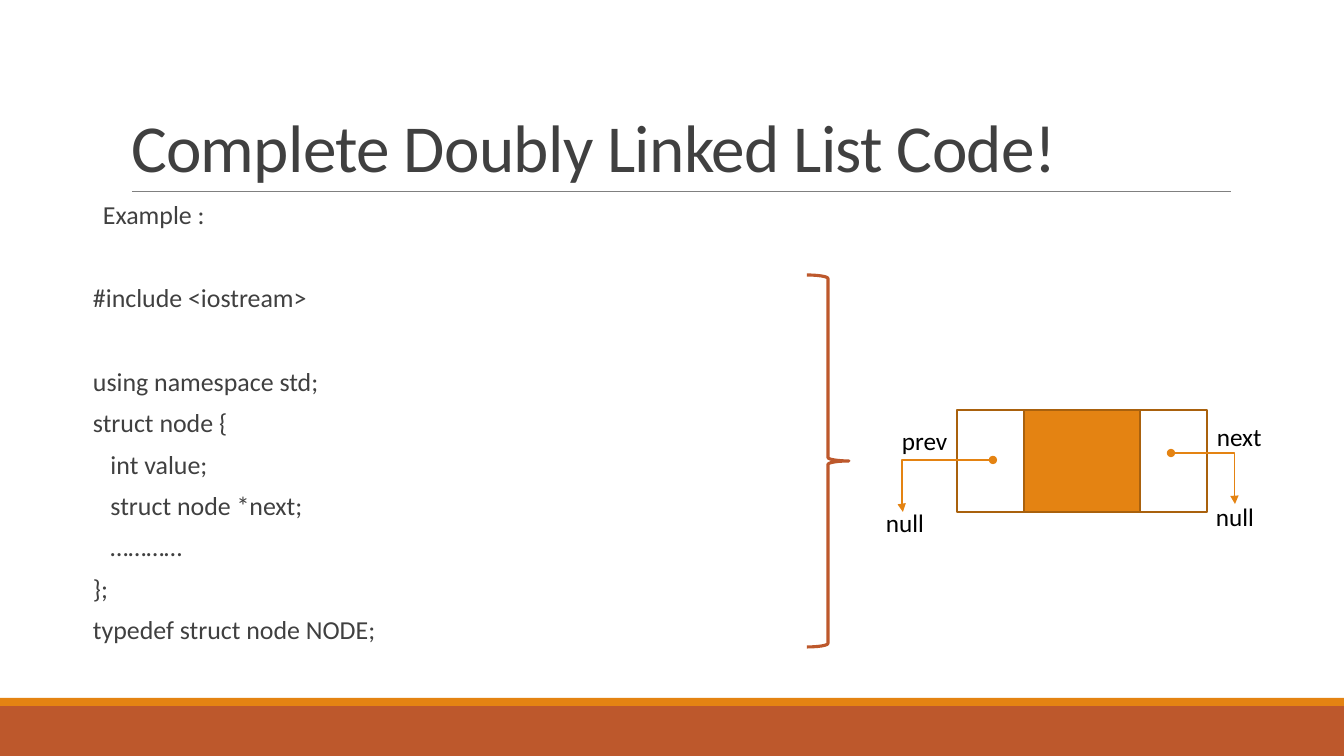
import pptx
import pptx.util
import pptx.dml.color
import pptx.enum.shapes
import pptx.enum.text
import pptx.oxml.ns
import lxml.etree

Pt = pptx.util.Pt
RGB = pptx.dml.color.RGBColor
SHAPE = pptx.enum.shapes.MSO_SHAPE
CONNECTOR = pptx.enum.shapes.MSO_CONNECTOR
qn = pptx.oxml.ns.qn

ORANGE = RGB(0xE4, 0x83, 0x12)
RUST = RGB(0xBD, 0x58, 0x2C)
BROWN = RGB(0xA9, 0x61, 0x0D)
GRAY = RGB(0x80, 0x80, 0x80)
DARK = RGB(0x40, 0x40, 0x40)
BLACK = RGB(0, 0, 0)
WHITE = RGB(0xFF, 0xFF, 0xFF)

FONT = "Calibri"
PX_PER_INCH = 100.8
LINE_GAP = 12   # points before each line
BLOCK_GAP = 42  # points before a line that opens a new block

# Text, space before in points
LISTING = [
    ("Example :", 0),
    ("#include <iostream>", BLOCK_GAP),
    ("using namespace std;", BLOCK_GAP),
    ("struct node {", LINE_GAP),
    ("   int value;", LINE_GAP),
    ("   struct node *next;", LINE_GAP),
    ("   …………", LINE_GAP),
    ("};", LINE_GAP),
    ("typedef struct node NODE;", LINE_GAP),
]


def px(n):
    return round(n * 914400 / PX_PER_INCH)


def place(sp, x, y, w, h):
    sp.left, sp.top, sp.width, sp.height = px(x), px(y), px(w), px(h)


def style_runs(p, size, color):
    for r in p.runs:
        r.font.name = FONT
        r.font.size = Pt(size)
        r.font.color.rgb = color


def add_title(slide, text):
    sp = slide.shapes.title
    place(sp, 121, 31, 1109, 160)
    tf = sp.text_frame
    tf.text = text
    tf.auto_size = pptx.enum.text.MSO_AUTO_SIZE.NONE
    tf.vertical_anchor = pptx.enum.text.MSO_ANCHOR.BOTTOM
    p = tf.paragraphs[0]
    p.alignment = pptx.enum.text.PP_ALIGN.LEFT
    p.line_spacing = 0.85
    style_runs(p, 48, DARK)
    p.runs[0].font._element.set("spc", "-50")


def add_listing(slide, lines):
    sp = slide.placeholders[1]
    place(sp, 93, 202, 443, 480)
    tf = sp.text_frame
    tf.auto_size = pptx.enum.text.MSO_AUTO_SIZE.NONE
    tf.margin_left = tf.margin_right = 0
    for i, (text, gap) in enumerate(lines):
        p = tf.paragraphs[0] if i == 0 else tf.add_paragraph()
        p.text = text
        p.line_spacing = 0.7
        p.space_before = Pt(gap)
        p.space_after = Pt(2)
        pPr = p._p.get_or_add_pPr()
        pPr.set("marL", str(px(10) if i == 0 else 0))
        pPr.set("indent", "0")
        lxml.etree.SubElement(pPr, qn("a:buNone"))
        style_runs(p, 18.5, DARK)


def add_shape(slide, kind, box, fill=None, line=None, width=1.25):
    sp = slide.shapes.add_shape(kind, *map(px, box))
    sp.shadow.inherit = False
    if fill is None:
        sp.fill.background()
    else:
        sp.fill.solid()
        sp.fill.fore_color.rgb = fill
    if line is None:
        sp.line.fill.background()
    else:
        sp.line.color.rgb = line
        sp.line.width = Pt(width)
    return sp


def add_line(slide, kind, start, end, color, width):
    cx = slide.shapes.add_connector(kind, *map(px, start + end))
    cx.line.color.rgb = color
    cx.line.width = Pt(width)
    lxml.etree.SubElement(cx._element.spPr, qn("a:effectLst"))
    return cx


def add_pointer(slide, start, end, bend):
    """Elbow arrow with a dot at its start; bend is in 1/100000 of its width."""
    cx = add_line(slide, CONNECTOR.ELBOW, start, end, ORANGE, 1)
    geom = cx._element.spPr.find(qn("a:prstGeom"))
    av = geom.find(qn("a:avLst"))
    if av is None:
        av = lxml.etree.SubElement(geom, qn("a:avLst"))
    lxml.etree.SubElement(av, qn("a:gd"), name="adj1", fmla=f"val {bend}")
    ln = cx.line._get_or_add_ln()
    lxml.etree.SubElement(ln, qn("a:headEnd"), type="oval")
    lxml.etree.SubElement(ln, qn("a:tailEnd"), type="triangle")


def add_label(slide, text, x, y, w):
    sp = slide.shapes.add_textbox(px(x), px(y), px(w), px(40))
    tf = sp.text_frame
    tf.text = text
    tf.word_wrap = False
    tf.auto_size = pptx.enum.text.MSO_AUTO_SIZE.SHAPE_TO_FIT_TEXT
    style_runs(tf.paragraphs[0], 18, BLACK)


def main():
    prs = pptx.Presentation()
    prs.slide_width, prs.slide_height = px(1344), px(756)
    slide = prs.slides.add_slide(prs.slide_layouts[1])

    # Footer bands and title rule
    add_shape(slide, SHAPE.RECTANGLE, (0, 706, 1344, 50), RUST)
    add_shape(slide, SHAPE.RECTANGLE, (0, 698, 1344, 8), ORANGE)
    add_line(slide, CONNECTOR.STRAIGHT, (132, 191), (1231, 191), GRAY, 0.5)

    # Title and code
    add_title(slide, "Complete Doubly Linked List Code!")
    add_listing(slide, LISTING)

    # Node: data cell between two pointer cells
    for x, w, fill, width in [(990, 150, ORANGE, 1.25),
                              (957, 67, WHITE, 1.5),
                              (1140, 67, WHITE, 1.25)]:
        add_shape(slide, SHAPE.RECTANGLE, (x, 410, w, 102), fill, BROWN, width)

    # Brace from the code to the node
    add_shape(slide, SHAPE.RIGHT_BRACE, (807, 275, 42, 372), None, RUST, 2.25)

    # Pointers and their labels
    add_pointer(slide, (993, 460), (903, 512), 101200)
    add_pointer(slide, (1171, 453), (1235, 504), 99200)
    for text, x, y, w in [("prev", 892, 420, 67), ("next", 1207, 416, 66),
                          ("null", 876, 502, 58), ("null", 1206, 496, 58)]:
        add_label(slide, text, x, y, w)

    prs.save("out.pptx")


if __name__ == "__main__":
    main()
